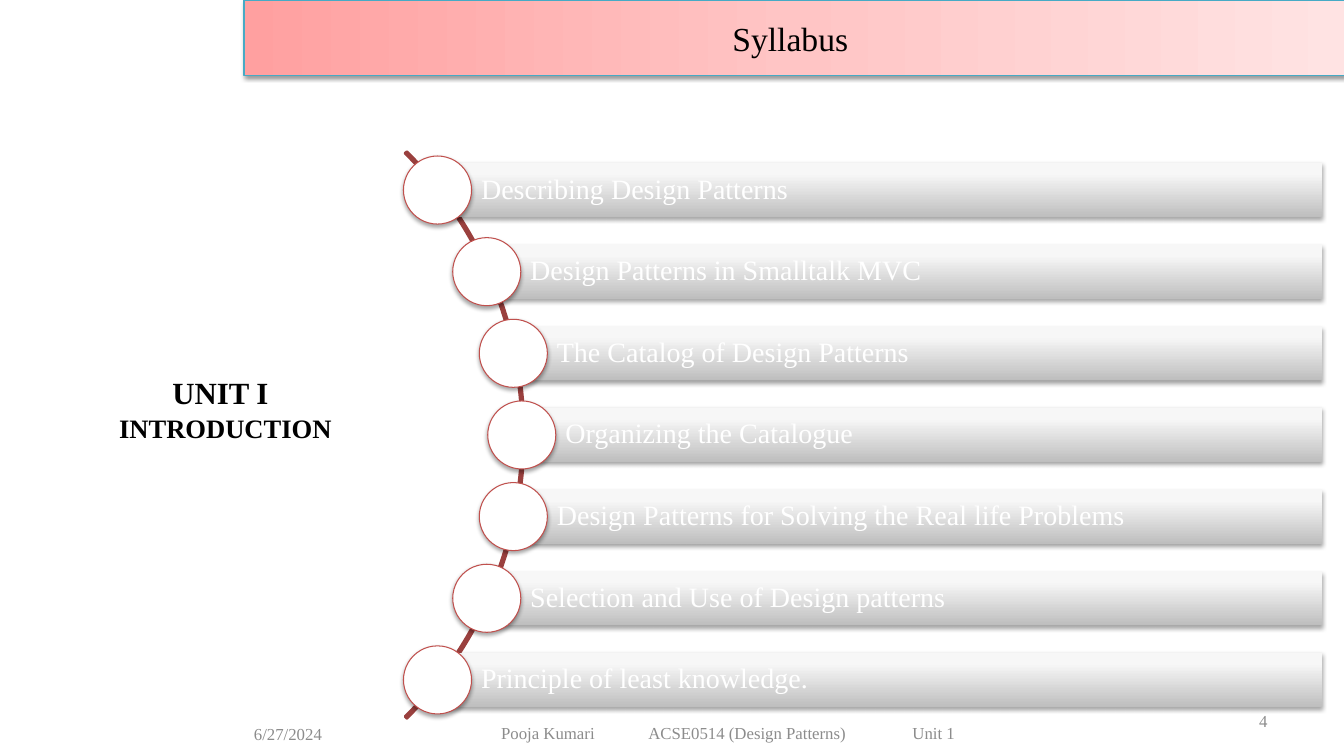
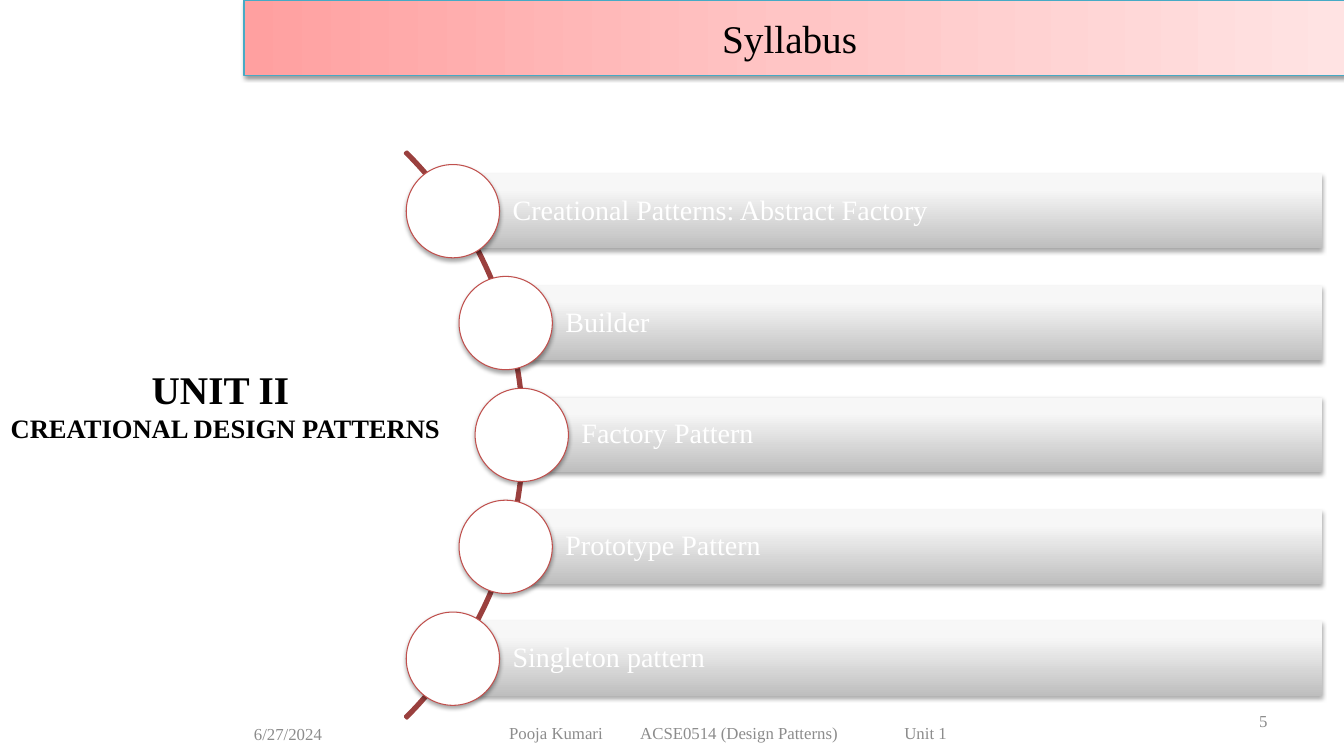
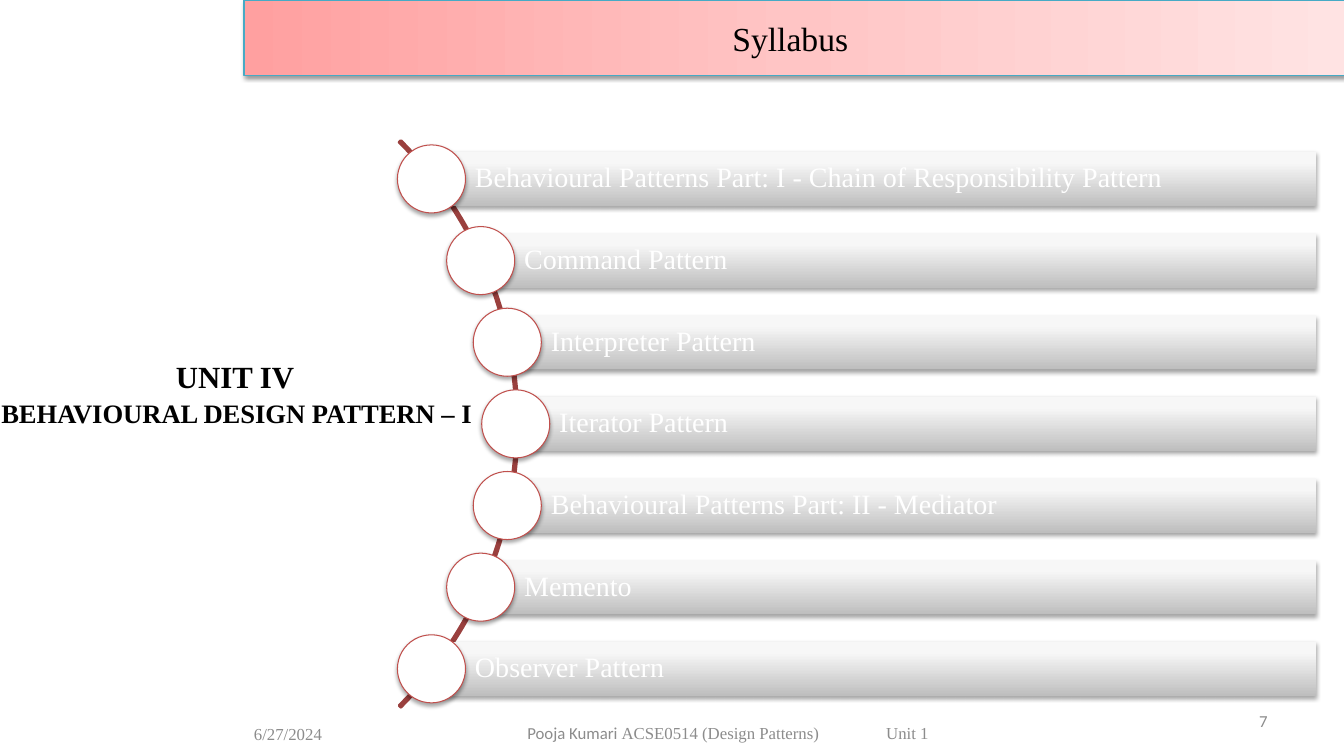
"""Build three syllabus slides with curved topic lists."""
from math import sqrt

from lxml import etree
from pptx import Presentation
from pptx.dml.color import RGBColor
from pptx.enum.shapes import MSO_SHAPE
from pptx.enum.text import MSO_ANCHOR, PP_ALIGN
from pptx.oxml.ns import qn
from pptx.util import Inches, Pt

LEFT, CENTER, RIGHT = PP_ALIGN.LEFT, PP_ALIGN.CENTER, PP_ALIGN.RIGHT
TOP, MIDDLE = MSO_ANCHOR.TOP, MSO_ANCHOR.MIDDLE
RECTANGLE, OVAL, BLOCK_ARC = MSO_SHAPE.RECTANGLE, MSO_SHAPE.OVAL, MSO_SHAPE.BLOCK_ARC

SERIF, SANS = "Times New Roman", "Calibri"
BLACK, WHITE, GREY = "000000", "FFFFFF", "8C8C8C"
BAND_LINE, ARC_LINE, CIRCLE_LINE = "46AAC5", "9A403E", "C0504D"
BAND_GRADIENT = ((0, "FFA0A0"), (50, "FFC5C5"), (100, "FFE3E3"))
BAR_GRADIENT = ((0, "BEBEBE"), (80, "F7F7F7"), (100, "F8F8F8"))
BAND_SHADOW = (38, 3.1, 1.6)
ITEM_SHADOW = (35, 3.1, 1.8)

ARC_SIZE = 7.95
ARC_ADJUSTMENTS = (189, 27, 0.003)
CIRCLE_PATH_RADIUS = 3.95
BAR_REACH = 11.89
DATE = "6/27/2024"

SLIDES = [
    {
        "title_size": 24,
        "unit": "UNIT I", "unit_size": 22, "unit_name": "INTRODUCTION",
        "unit_box": (0, 3.57, 4.47, 0.89),
        "arc": (-2.75, 0.34), "bar_height": 0.54,
        "topics": [
            "Describing Design Patterns",
            "Design Patterns in Smalltalk MVC",
            "The Catalog of Design Patterns",
            "Organizing the Catalogue",
            "Design Patterns for Solving the Real life Problems",
            "Selection and Use of Design patterns",
            "Principle of least knowledge.",
        ],
        "footer": [("Pooja Kumari\tACSE0514 (Design Patterns)\tUnit 1", SERIF)],
        "footer_indent": 0.5, "footer_tabs": (1.46, 4.08),
        "number": "4", "number_font": SERIF,
    },
    {
        "title_size": 28,
        "unit": "UNIT II", "unit_size": 28, "unit_name": "CREATIONAL DESIGN PATTERNS",
        "unit_box": (0, 3.57, 4.47, 0.89),
        "arc": (-2.75, 0.34), "bar_height": 0.74,
        "topics": [
            "Creational Patterns: Abstract Factory",
            "Builder",
            "Factory Pattern",
            "Prototype Pattern",
            "Singleton pattern",
        ],
        "footer": [("Pooja Kumari\tACSE0514 (Design Patterns)\tUnit 1", SERIF)],
        "footer_indent": 0.58, "footer_tabs": (1.3, 3.92),
        "number": "5", "number_font": SERIF,
    },
    {
        "title_size": 24,
        "unit": "UNIT IV", "unit_size": 22, "unit_name": "BEHAVIOURAL DESIGN PATTERN – I ",
        "unit_box": (-0.64, 3.42, 6.04, 0.89),
        "arc": (-2.81, 0.23), "bar_height": 0.54,
        "topics": [
            "Behavioural Patterns Part: I - Chain of Responsibility Pattern",
            "Command Pattern",
            "Interpreter Pattern",
            "Iterator Pattern",
            "Behavioural Patterns Part: II - Mediator",
            "Memento",
            "Observer Pattern",
        ],
        "footer": [("Pooja Kumari ", SANS), ("ACSE0514 (Design Patterns)\tUnit 1", SERIF)],
        "footer_indent": 0.76, "footer_tabs": (3.56,),
        "number": "7", "number_font": SANS,
    },
]


def color(hex_value):
    return RGBColor.from_string(hex_value)


def place(box):
    return [Inches(value) for value in box]


def write_text(shape, paragraphs, align=LEFT, anchor=MIDDLE, fill=BLACK, bold=False,
               insets=(0.1, 0.05, 0.1, 0.05), line_spacing=None, tabs=()):
    """Fill a shape with paragraphs, each a list of (text, size, font) runs."""
    frame = shape.text_frame
    frame.word_wrap = True
    frame.vertical_anchor = anchor
    frame.margin_left, frame.margin_top, frame.margin_right, frame.margin_bottom = place(insets)
    for index, runs in enumerate(paragraphs):
        paragraph = frame.add_paragraph() if index else frame.paragraphs[0]
        if tabs:
            tab_list = etree.SubElement(paragraph._p.get_or_add_pPr(), qn("a:tabLst"))
            for position in tabs:
                etree.SubElement(tab_list, qn("a:tab"), pos=str(Inches(position)), algn="l")
        paragraph.alignment = align
        if line_spacing:
            paragraph.line_spacing = line_spacing
        for text, size, font in runs:
            run = paragraph.add_run()
            run.text = text
            run.font.size = Pt(size)
            run.font.name = font
            run.font.bold = bold
            run.font.color.rgb = color(fill)


def add_text(slide, box, paragraphs, **text_format):
    write_text(slide.shapes.add_textbox(*place(box)), paragraphs, **text_format)


def set_gradient(shape, stops, angle):
    """Give a shape a linear gradient with any number of stops."""
    shape.fill.gradient()
    gradient = shape._element.spPr.find(qn("a:gradFill"))
    for child in list(gradient):
        gradient.remove(child)
    stop_list = etree.SubElement(gradient, qn("a:gsLst"))
    for position, hex_value in stops:
        stop = etree.SubElement(stop_list, qn("a:gs"), pos=str(position * 1000))
        etree.SubElement(stop, qn("a:srgbClr"), val=hex_value)
    etree.SubElement(gradient, qn("a:lin"), ang=str(angle * 60000), scaled="0")


def add_shape(slide, kind, box, fill=None, gradient=None, angle=0, line=None, width=0.75,
              shadow=None):
    shape = slide.shapes.add_shape(kind, *place(box))
    if gradient:
        set_gradient(shape, gradient, angle)
    elif fill:
        shape.fill.solid()
        shape.fill.fore_color.rgb = color(fill)
    else:
        shape.fill.background()
    if line:
        shape.line.color.rgb = color(line)
        shape.line.width = Pt(width)
    else:
        shape.line.fill.background()
    shape.shadow.inherit = False
    if shadow:
        opacity, blur, distance = shadow
        effects = shape._element.spPr.find(qn("a:effectLst"))
        outer = etree.SubElement(effects, qn("a:outerShdw"), blurRad=str(Pt(blur)),
                                 dist=str(Pt(distance)), dir="5400000", rotWithShape="0")
        tint = etree.SubElement(outer, qn("a:srgbClr"), val=BLACK)
        etree.SubElement(tint, qn("a:alpha"), val=str(opacity * 1000))
    return shape


def add_topics(slide, topics, arc_corner, bar_height):
    """Draw the arc and space the topic bars evenly along it."""
    arc = add_shape(slide, BLOCK_ARC, (*arc_corner, ARC_SIZE, ARC_SIZE), line=ARC_LINE, width=2)
    for index, value in enumerate(ARC_ADJUSTMENTS):
        arc.adjustments[index] = value
    center_x, center_y = (value + ARC_SIZE / 2 for value in arc_corner)
    diameter = 1.25 * bar_height
    for index, topic in enumerate(topics):
        offset = (index - (len(topics) - 1) / 2) * 1.5 * bar_height
        x = center_x + sqrt(CIRCLE_PATH_RADIUS ** 2 - offset ** 2)
        y = center_y + offset
        bar = add_shape(slide, RECTANGLE,
                        (x, y - bar_height / 2, center_x + BAR_REACH - x, bar_height),
                        gradient=BAR_GRADIENT, angle=270, shadow=ITEM_SHADOW)
        write_text(bar, [[(topic, 20, SERIF)]], fill=WHITE, line_spacing=0.9,
                   insets=(0.8 * bar_height, 0.06, 0.06, 0.06))
        add_shape(slide, OVAL, (x - diameter / 2, y - diameter / 2, diameter, diameter),
                  fill=WHITE, line=CIRCLE_LINE, shadow=ITEM_SHADOW)


def add_footer(slide, content):
    add_text(slide, (2.42, 7.08, 2.33, 0.4), [[(DATE, 12, SERIF)]], fill=GREY)
    add_text(slide, (4.47, 7.07, 5.5, 0.4),
             [[(text, 12, font) for text, font in content["footer"]]], fill=GREY,
             insets=(content["footer_indent"], 0.05, 0.1, 0.05), tabs=content["footer_tabs"])
    add_text(slide, (9.56, 6.95, 3.11, 0.4),
             [[(content["number"], 12, content["number_font"])]], align=RIGHT, fill=GREY)


def build_slide(presentation, content):
    slide = presentation.slides.add_slide(presentation.slide_layouts[6])
    band = add_shape(slide, RECTANGLE, (2.42, 0, 10.92, 0.75), gradient=BAND_GRADIENT,
                     line=BAND_LINE, shadow=BAND_SHADOW)
    write_text(band, [[("Syllabus ", content["title_size"], SERIF)]], align=CENTER)
    add_topics(slide, content["topics"], content["arc"], content["bar_height"])
    add_text(slide, content["unit_box"],
             [[(content["unit"], content["unit_size"], SERIF), (" ", 28, SERIF)],
              [(content["unit_name"], 19, SERIF)]],
             align=CENTER, anchor=TOP, bold=True)
    add_footer(slide, content)


def main():
    presentation = Presentation()
    presentation.slide_width = Inches(13.33)
    presentation.slide_height = Inches(7.5)
    for content in SLIDES:
        build_slide(presentation, content)
    presentation.save("out.pptx")


if __name__ == "__main__":
    main()
